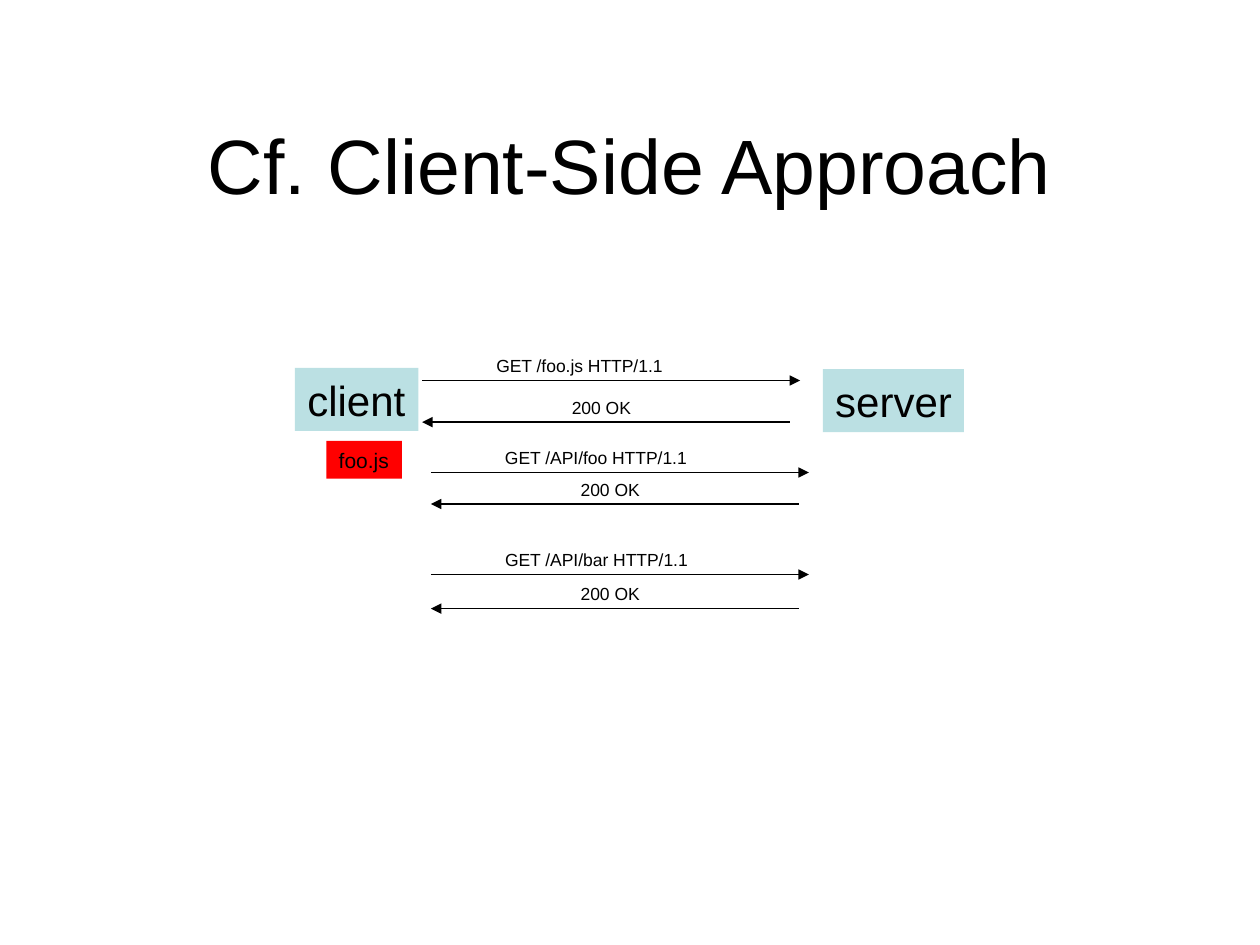
"""Build a slide showing the request sequence of a client-side approach."""
from dataclasses import dataclass

from lxml.etree import SubElement
from pptx import Presentation
from pptx.dml.color import RGBColor
from pptx.enum.shapes import MSO_CONNECTOR, MSO_SHAPE
from pptx.enum.text import MSO_ANCHOR, MSO_AUTO_SIZE, PP_ALIGN
from pptx.oxml.ns import qn
from pptx.util import Inches, Pt


@dataclass(frozen=True)
class Theme:
    font: str = "Arial"
    ink: RGBColor = RGBColor(0x00, 0x00, 0x00)
    host: RGBColor = RGBColor(0xBB, 0xE0, 0xE3)
    script: RGBColor = RGBColor(0xFF, 0x00, 0x00)
    title_size: int = 44
    host_size: int = 24
    script_size: int = 12
    message_size: int = 10
    line_width: float = 0.75


THEME = Theme()


def write_text(frame, text, *, size, align=PP_ALIGN.LEFT, anchor=MSO_ANCHOR.TOP,
               wrap=False, right_inset=0.1):
    frame.word_wrap = wrap
    frame.auto_size = MSO_AUTO_SIZE.NONE if wrap else MSO_AUTO_SIZE.SHAPE_TO_FIT_TEXT
    frame.vertical_anchor = anchor
    frame.margin_right = Inches(right_inset)
    paragraph = frame.paragraphs[0]
    paragraph.alignment = align
    run = paragraph.add_run()
    run.text = text
    run.font.name = THEME.font
    run.font.size = Pt(size)
    run.font.color.rgb = THEME.ink


def add_label(slide, text, left, top, width, height, **text_format):
    label = slide.shapes.add_textbox(
        Inches(left), Inches(top), Inches(width), Inches(height))
    write_text(label.text_frame, text, **text_format)


def add_node(slide, text, left, top, width, height, *, fill, size):
    node = slide.shapes.add_shape(
        MSO_SHAPE.RECTANGLE,
        Inches(left), Inches(top), Inches(width), Inches(height))
    node.shadow.inherit = False
    node.fill.solid()
    node.fill.fore_color.rgb = fill
    node.line.fill.background()
    write_text(node.text_frame, text, size=size, wrap=True, right_inset=0)


def add_arrow(slide, start, end, y):
    arrow = slide.shapes.add_connector(
        MSO_CONNECTOR.STRAIGHT, Inches(start), Inches(y), Inches(end), Inches(y))
    arrow.line.color.rgb = THEME.ink
    arrow.line.width = Pt(THEME.line_width)
    SubElement(arrow.line._get_or_add_ln(), qn("a:tailEnd"), type="triangle")
    SubElement(arrow._element.spPr, qn("a:effectLst"))


def add_exchange(slide, request, left, request_y, response_y, request_width):
    label_rise, label_height = 0.25, 0.27
    add_arrow(slide, left, left + 3, request_y)
    add_label(slide, request, left + 0.49, request_y - label_rise,
              request_width, label_height, size=THEME.message_size)
    add_arrow(slide, left + 2.92, left, response_y)
    add_label(slide, "200 OK", left + 1.09, response_y - label_rise,
              0.67, label_height, size=THEME.message_size)


def main():
    deck = Presentation()
    deck.slide_width, deck.slide_height = Inches(10), Inches(7.5)
    slide = deck.slides.add_slide(deck.slide_layouts[6])

    add_label(slide, "Cf. Client-Side Approach", 0.75, 0.67, 8.5, 1.25,
              size=THEME.title_size, align=PP_ALIGN.CENTER,
              anchor=MSO_ANCHOR.MIDDLE, wrap=True)

    for host, left, top, width in (("client", 2.34, 2.92, 0.98),
                                   ("server", 6.53, 2.93, 1.12)):
        add_node(slide, host, left, top, width, 0.5,
                 fill=THEME.host, size=THEME.host_size)
    add_node(slide, "foo.js", 2.59, 3.5, 0.6, 0.3,
             fill=THEME.script, size=THEME.script_size)

    exchanges = (
        ("GET /foo.js HTTP/1.1", 3.35, 3.02, 3.35, 1.52),
        ("GET /API/foo HTTP/1.1", 3.42, 3.75, 4, 1.64),
        ("GET /API/bar HTTP/1.1", 3.42, 4.56, 4.83, 1.65),
    )
    for exchange in exchanges:
        add_exchange(slide, *exchange)

    deck.save("out.pptx")


if __name__ == "__main__":
    main()
